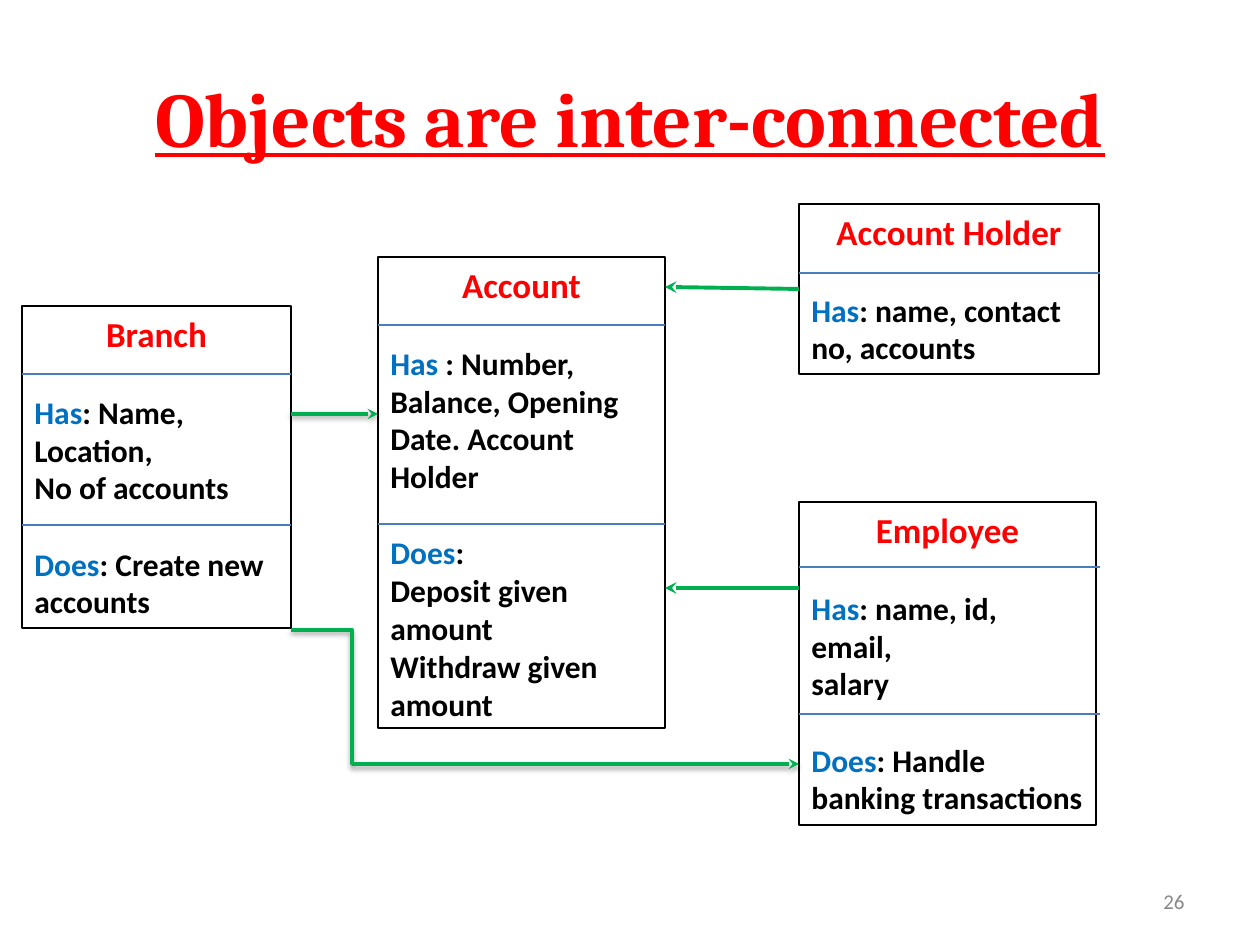
from lxml.etree import SubElement as sub
from pptx import Presentation
from pptx.dml.color import RGBColor as RGB
from pptx.enum.shapes import MSO_CONNECTOR as LINK, MSO_SHAPE as FORM
from pptx.enum.text import MSO_ANCHOR as ANCHOR, PP_ALIGN as ALIGN
from pptx.oxml.ns import qn
from pptx.util import Pt

INK = {"red": "FF0000", "blue": "0070C0", "black": "000000",
       "green": "00B050", "rule": "4A7DBA", "grey": "888888"}
LEFT, RIGHT = 799, 1100
BLANK = 22


def px(n):
    return round(n * 914400 / 126)


def rgb(name):
    return RGB.from_string(INK[name])


def style(para, size, color, bold=True, face="Calibri", align=ALIGN.LEFT):
    para.alignment = align
    font = para.font
    font.name, font.size, font.bold = face, Pt(size), bold
    font.color.rgb = rgb(color)


def label(slide, spot, text, size, color, **look):
    frame = slide.shapes.add_textbox(*map(px, spot)).text_frame
    frame.word_wrap = True
    frame.vertical_anchor = ANCHOR.MIDDLE
    para = frame.paragraphs[0]
    para.text = text
    style(para, size, color, **look)
    return para


def card(slide, spot, title, *parts):
    box = slide.shapes.add_shape(FORM.RECTANGLE, *map(px, spot))
    box.shadow.inherit = False
    box.fill.background()
    box.line.color.rgb = rgb("black")
    box.line.width = Pt(0.75)
    frame = box.text_frame
    frame.word_wrap = True
    frame.vertical_anchor = ANCHOR.TOP
    head = frame.paragraphs[0]
    head.text = title
    style(head, 20, "red", align=ALIGN.CENTER)
    for key, first, *rest in parts:
        para = frame.add_paragraph()
        style(para, 18, "black")
        para.space_before = Pt(BLANK)
        run = para.add_run()
        run.text = key
        run.font.color.rgb = rgb("blue")
        para.add_run().text = first
        for text in rest:
            para = frame.add_paragraph()
            para.text = text
            style(para, 18, "black")
    return box


def link(slide, ends, color, width, kind=LINK.STRAIGHT, shade=False):
    wire = slide.shapes.add_connector(kind, *map(px, ends))
    wire.line.color.rgb = rgb(color)
    wire.line.width = Pt(width)
    fx = sub(wire._element.spPr, qn("a:effectLst"))
    if shade:
        cast = sub(fx, qn("a:outerShdw"), blurRad="40000", dist="20000",
                   dir="5400000", rotWithShape="0")
        tint = sub(cast, qn("a:srgbClr"), val=INK["black"])
        sub(tint, qn("a:alpha"), val="38000")
    return wire


def arrow(slide, ends, width, **look):
    wire = link(slide, ends, "green", width, **look)
    sub(wire.line._get_or_add_ln(), qn("a:tailEnd"), type="stealth")
    return wire


def bend(wire, share):
    geom = wire._element.spPr.find(qn("a:prstGeom"))
    marks = geom.find(qn("a:avLst"))
    if marks is None:
        marks = sub(geom, qn("a:avLst"))
    sub(marks, qn("a:gd"), name="adj1", fmla=f"val {round(share * 100000)}")


def main():
    deck = Presentation()
    deck.slide_width, deck.slide_height = px(1260), px(945)
    slide = deck.slides.add_slide(deck.slide_layouts[6])

    title = label(slide, (63, 38, 1134, 157), "Objects are inter-connected",
                  44, "red", face="Cambria", align=ALIGN.CENTER)
    title.font.underline = True

    card(slide, (378, 257, 287, 471), "Account",
         ("Has", " : Number, Balance, Opening Date. Account Holder"),
         ("Does", ":", "Deposit given amount", "Withdraw given amount"))
    card(slide, (22, 306, 269, 322), "Branch",
         ("Has", ": Name, Location,", "No of accounts"),
         ("Does", ": Create new accounts"))
    card(slide, (LEFT, 502, 297, 323), "Employee",
         ("Has", ": name, id, email,", "salary"),
         ("Does", ": Handle banking transactions"))
    holder = card(slide, (LEFT, 204, 300, 170), "Account Holder",
                  ("Has", ": name, contact no, accounts"))

    arrow(slide, (291, 414, 378, 414), 2, shade=True)
    wire = arrow(slide, (LEFT, 289, 665, 287), 2.25)
    wire.begin_connect(holder, 1)
    arrow(slide, (LEFT, 588, 665, 588), 2.25)
    elbow = arrow(slide, (291, 630, LEFT, 764), 2, kind=LINK.ELBOW, shade=True)
    bend(elbow, 0.12)

    for left, right, rows in ((22, 291, (374, 525)),
                              (378, 665, (325, 524)),
                              (LEFT, RIGHT, (273, 567, 714))):
        for y in rows:
            link(slide, (left, y, right, y), "rule", 0.75)

    label(slide, (903, 876, 294, 50), "26", 12, "grey",
          bold=False, align=ALIGN.RIGHT)
    deck.save("out.pptx")


if __name__ == "__main__":
    main()
